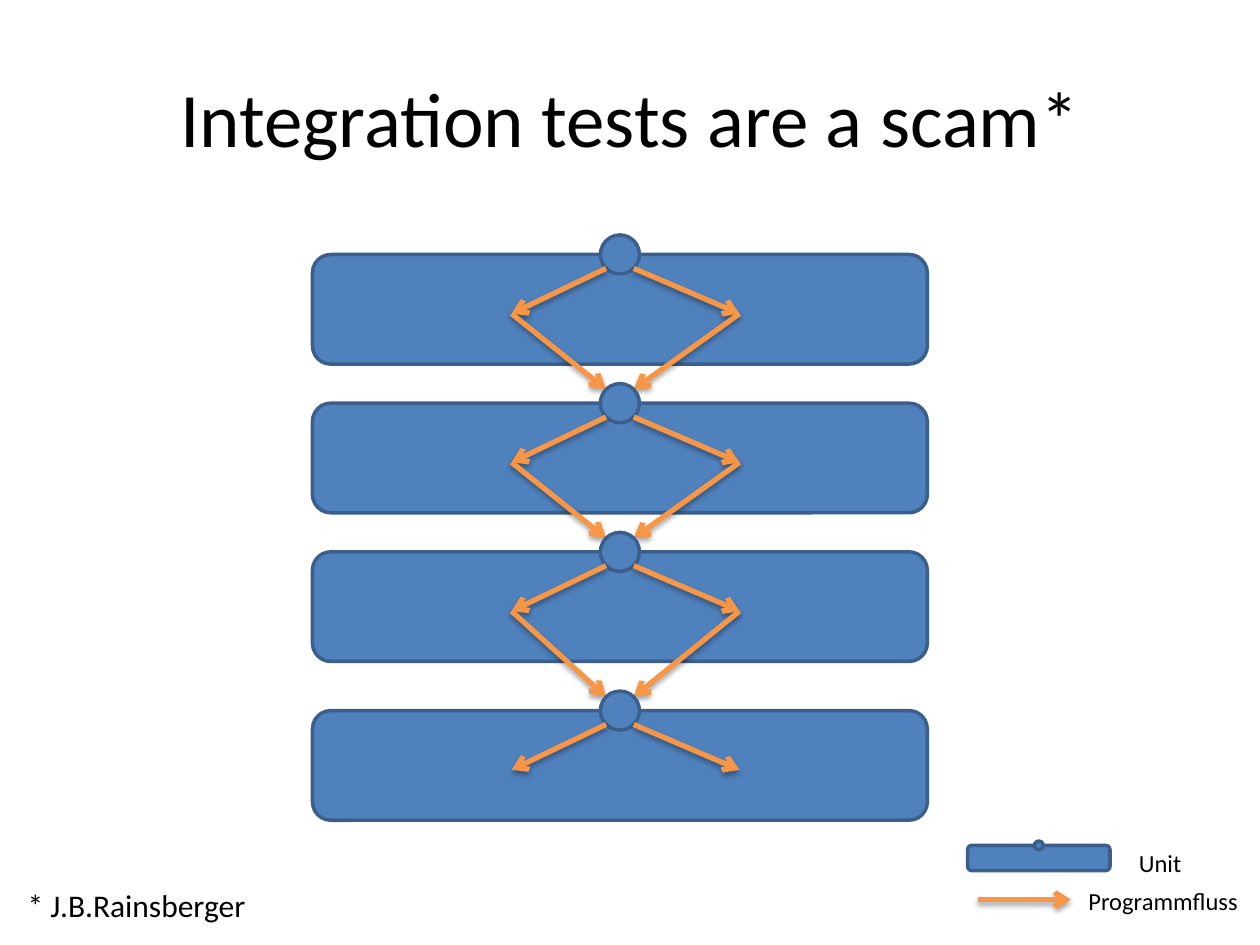
from dataclasses import dataclass

from lxml import etree
from pptx import Presentation
from pptx import util as u
from pptx.dml.color import RGBColor
from pptx.enum import shapes, text
from pptx.oxml import parse_xml
from pptx.oxml.ns import nsdecls, qn

PX = 9144  # EMU; 100 px to the inch


@dataclass(frozen=True)
class Theme:
    font: str = "Calibri"
    ink: str = "000000"
    unit: str = "4F81BD"
    unit_edge: str = "3A5F8C"
    flow: str = "F79646"
    title: int = 44
    note: int = 18
    legend: int = 14
    edge_width: int = 2
    flow_width: int = 3


THEME = Theme()

# text, box (left, top, width, height), size, alignment, anchor, wrap
LEFT, CENTER = text.PP_ALIGN.LEFT, text.PP_ALIGN.CENTER
TOP, MIDDLE = text.MSO_ANCHOR.TOP, text.MSO_ANCHOR.MIDDLE
TITLE = ("Integration tests are a scam*", (50, 30, 900, 125), THEME.title, CENTER, MIDDLE, True)
LABELS = [
    ("Unit", (894, 668, 54, 34), THEME.legend, LEFT, TOP, False),
    ("Programmfluss", (854, 698, 140, 34), THEME.legend, LEFT, TOP, False),
    ("* J.B.Rainsberger", (12, 698, 195, 40), THEME.note, LEFT, TOP, False),
]

UNIT_TOPS = [202, 320, 438, 564]
UNIT_LEFT, UNIT_WIDTH, UNIT_HEIGHT, PORT = 248, 488, 87, 31
PORT_SIDES = (503, 481)   # where the flow meets the port: right, left
BRANCHES = (587, 406)     # where the flow turns inside the unit: right, left
PORT_DY, BRANCH_DY = 11, 47

LEGEND_UNIT = (768, 671, 113, 20, 7)
LEGEND_FLOW = (776, 714, 850, 714)

SHADOW = (
    f'<a:effectLst {nsdecls("a")}><a:outerShdw blurRad="{u.Pt(3.1)}" dist="{u.Pt(1.8)}" '
    'dir="5400000" rotWithShape="0"><a:srgbClr val="000000"><a:alpha val="35000"/>'
    "</a:srgbClr></a:outerShdw></a:effectLst>"
)


def px(*values):
    return [u.Emu(round(v * PX)) for v in values]


def rgb(value):
    return RGBColor.from_string(value)


def add_text(s, words, box, size, align, anchor, wrap):
    tf = s.shapes.add_textbox(*px(*box)).text_frame
    tf.text = words
    tf.word_wrap = wrap
    tf.vertical_anchor = anchor
    p = tf.paragraphs[0]
    p.alignment = align
    font = p.runs[0].font
    font.name, font.size = THEME.font, u.Pt(size)
    font.color.rgb = rgb(THEME.ink)


def add_unit(container, left, top, width, height, port):
    """Draw a bar with a round port centred on its top edge."""
    port_box = (left + (width - port) / 2, top - port / 2, port, port)
    for kind, box in (
        (shapes.MSO_SHAPE.ROUNDED_RECTANGLE, (left, top, width, height)),
        (shapes.MSO_SHAPE.FLOWCHART_CONNECTOR, port_box),
    ):
        sp = container.add_shape(kind, *px(*box))
        sp.shadow.inherit = False
        sp.fill.solid()
        sp.fill.fore_color.rgb = rgb(THEME.unit)
        sp.line.color.rgb = rgb(THEME.unit_edge)
        sp.line.width = u.Pt(THEME.edge_width)


def add_flow(s, x1, y1, x2, y2):
    c = s.shapes.add_connector(shapes.MSO_CONNECTOR.STRAIGHT, *px(x1, y1, x2, y2))
    c.line.color.rgb = rgb(THEME.flow)
    c.line.width = u.Pt(THEME.flow_width)
    etree.SubElement(c.line._get_or_add_ln(), qn("a:tailEnd"), type="arrow")
    c._element.spPr.append(parse_xml(SHADOW))


def main():
    prs = Presentation()
    prs.slide_width, prs.slide_height = px(1000, 750)
    s = prs.slides.add_slide(prs.slide_layouts[6])

    add_text(s, *TITLE)

    for top, next_top in zip(UNIT_TOPS, UNIT_TOPS[1:] + [None]):
        add_unit(s.shapes, UNIT_LEFT, top, UNIT_WIDTH, UNIT_HEIGHT, PORT)
        turn_y = top + BRANCH_DY
        for side, branch in zip(PORT_SIDES, BRANCHES):
            add_flow(s, side, top + PORT_DY, branch, turn_y)
            if next_top is not None:
                add_flow(s, branch, turn_y, side, next_top - PORT_DY)

    add_unit(s.shapes.add_group_shape().shapes, *LEGEND_UNIT)
    add_flow(s, *LEGEND_FLOW)
    for label in LABELS:
        add_text(s, *label)

    prs.save("out.pptx")


if __name__ == "__main__":
    main()
